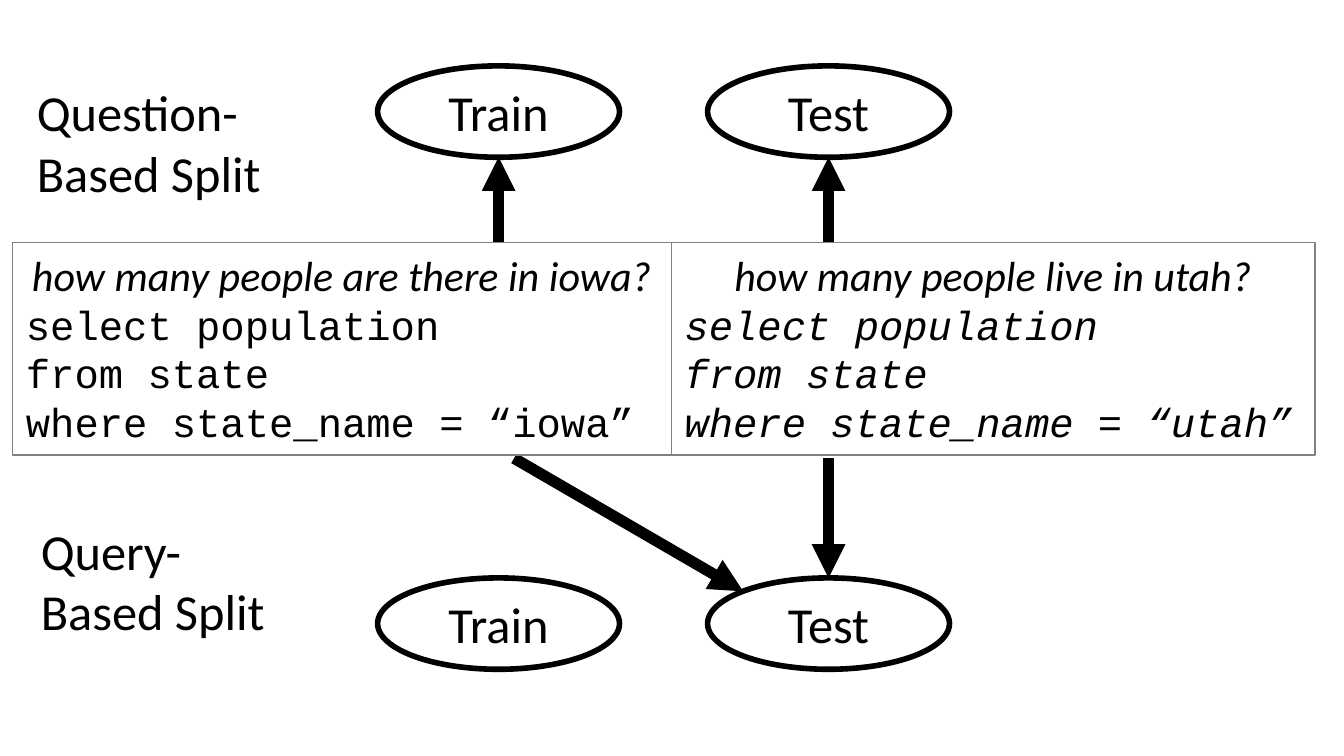
from dataclasses import dataclass

from lxml.etree import SubElement
from pptx import Presentation
from pptx.dml.color import RGBColor
from pptx.enum.shapes import MSO_CONNECTOR, MSO_SHAPE
from pptx.enum.text import MSO_ANCHOR, PP_ALIGN
from pptx.oxml.ns import qn
from pptx.slide import Slide
from pptx.text.text import _Paragraph as Paragraph
from pptx.util import Emu, Pt

EMU_PER_PX = 4572  # 200 px to the inch


@dataclass(frozen=True)
class Theme:
    ink: RGBColor = RGBColor(0, 0, 0)
    paper: RGBColor = RGBColor(255, 255, 255)
    border: RGBColor = RGBColor(128, 128, 128)
    text_font: str = "Calibri"
    code_font: str = "Courier New"
    label_size: float = 27
    question_size: float = 22.5
    code_size: float = 21.75
    border_width: float = 0.75
    oval_width: float = 3
    arrow_width: float = 6


@dataclass(frozen=True)
class Label:
    text: str
    left: int
    top: int


@dataclass(frozen=True)
class Oval:
    text: str
    left: int
    top: int


@dataclass(frozen=True)
class Arrow:
    start_x: int
    start_y: int
    end_x: int
    end_y: int


@dataclass(frozen=True)
class Example:
    left: int
    width: int
    question: str
    state: str
    italic_code: bool


THEME = Theme()
SLIDE_WIDTH, SLIDE_HEIGHT = 2000, 1125
LABEL_WIDTH, LABEL_HEIGHT = 382, 202
OVAL_WIDTH, OVAL_HEIGHT = 360, 136
BOX_TOP, BOX_HEIGHT = 361, 316
TRAIN_LEFT, TEST_LEFT = 562, 1053
TRAIN_CENTER = TRAIN_LEFT + OVAL_WIDTH // 2
TEST_CENTER = TEST_LEFT + OVAL_WIDTH // 2
QUESTION_TOP, QUERY_TOP = 98, 860
QUESTION_BOTTOM = QUESTION_TOP + OVAL_HEIGHT
ARROW_TOP = 682  # where the lower arrows leave the example boxes

LABELS = [Label("Question-Based Split", 35, 111), Label("Query-Based Split", 41, 764)]
OVALS = [
    Oval(text, left, top)
    for top in (QUESTION_TOP, QUERY_TOP)
    for text, left in (("Train", TRAIN_LEFT), ("Test", TEST_LEFT))
]
ARROWS = [
    Arrow(TRAIN_CENTER, 380, TRAIN_CENTER, QUESTION_BOTTOM),
    Arrow(TEST_CENTER, BOX_TOP, TEST_CENTER, QUESTION_BOTTOM),
    Arrow(TEST_CENTER, ARROW_TOP, TEST_CENTER, QUERY_TOP),
    Arrow(765, ARROW_TOP, 1106, 880),
]
EXAMPLES = [
    Example(999, 958, "how many people live in utah?", "utah", True),
    Example(19, 980, "how many people are there in iowa?", "iowa", False),
]


def px(*lengths: int) -> list[Emu]:
    return [Emu(length * EMU_PER_PX) for length in lengths]


def style(paragraph: Paragraph, name: str, size: float, align: PP_ALIGN, italic: bool = False) -> None:
    paragraph.alignment = align
    paragraph.font.name = name
    paragraph.font.size = Pt(size)
    paragraph.font.italic = italic
    paragraph.font.color.rgb = THEME.ink


def draw_label(slide: Slide, label: Label) -> None:
    shape = slide.shapes.add_textbox(*px(label.left, label.top, LABEL_WIDTH, LABEL_HEIGHT))
    shape.text_frame.word_wrap = True
    shape.text_frame.text = label.text
    style(shape.text_frame.paragraphs[0], THEME.text_font, THEME.label_size, PP_ALIGN.LEFT)


def draw_oval(slide: Slide, oval: Oval) -> None:
    shape = slide.shapes.add_shape(MSO_SHAPE.OVAL, *px(oval.left, oval.top, OVAL_WIDTH, OVAL_HEIGHT))
    shape.shadow.inherit = False
    shape.fill.background()
    shape.line.color.rgb = THEME.ink
    shape.line.width = Pt(THEME.oval_width)
    shape.text_frame.vertical_anchor = MSO_ANCHOR.MIDDLE
    shape.text_frame.text = oval.text
    style(shape.text_frame.paragraphs[0], THEME.text_font, THEME.label_size, PP_ALIGN.CENTER)


def draw_arrow(slide: Slide, arrow: Arrow) -> None:
    connector = slide.shapes.add_connector(
        MSO_CONNECTOR.STRAIGHT, *px(arrow.start_x, arrow.start_y, arrow.end_x, arrow.end_y)
    )
    connector.line.color.rgb = THEME.ink
    connector.line.width = Pt(THEME.arrow_width)
    SubElement(connector.line._get_or_add_ln(), qn("a:tailEnd"), type="triangle")
    SubElement(connector._element.spPr, qn("a:effectLst"))


def draw_example(slide: Slide, example: Example) -> None:
    shape = slide.shapes.add_shape(
        MSO_SHAPE.RECTANGLE, *px(example.left, BOX_TOP, example.width, BOX_HEIGHT)
    )
    shape.shadow.inherit = False
    shape.fill.solid()
    shape.fill.fore_color.rgb = THEME.paper
    shape.line.color.rgb = THEME.border
    shape.line.width = Pt(THEME.border_width)
    frame = shape.text_frame
    frame.word_wrap = True
    frame.vertical_anchor = MSO_ANCHOR.TOP
    query = ["select population", "from state", f"where state_name = “{example.state}”"]
    frame.text = "\n".join([example.question, *query])
    question, *code_lines = frame.paragraphs
    style(question, THEME.text_font, THEME.question_size, PP_ALIGN.CENTER, italic=True)
    for line in code_lines:
        style(line, THEME.code_font, THEME.code_size, PP_ALIGN.LEFT, example.italic_code)


def main() -> None:
    presentation = Presentation()
    presentation.slide_width, presentation.slide_height = px(SLIDE_WIDTH, SLIDE_HEIGHT)
    slide = presentation.slides.add_slide(presentation.slide_layouts[6])

    # Splits: names, sets and the arrows leading to them
    for label in LABELS:
        draw_label(slide, label)
    for arrow in ARROWS:
        draw_arrow(slide, arrow)
    for oval in OVALS:
        draw_oval(slide, oval)

    # Example questions with their queries
    for example in EXAMPLES:
        draw_example(slide, example)

    presentation.save("out.pptx")


if __name__ == "__main__":
    main()
